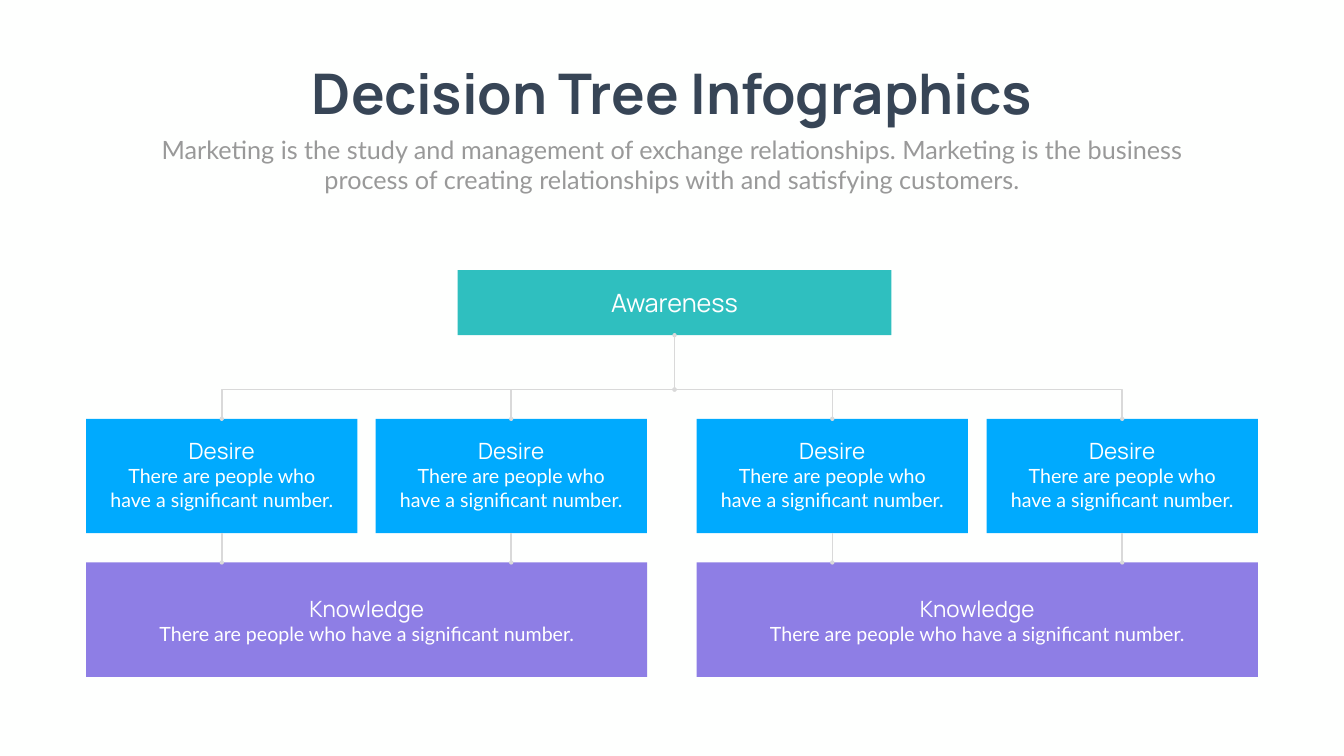
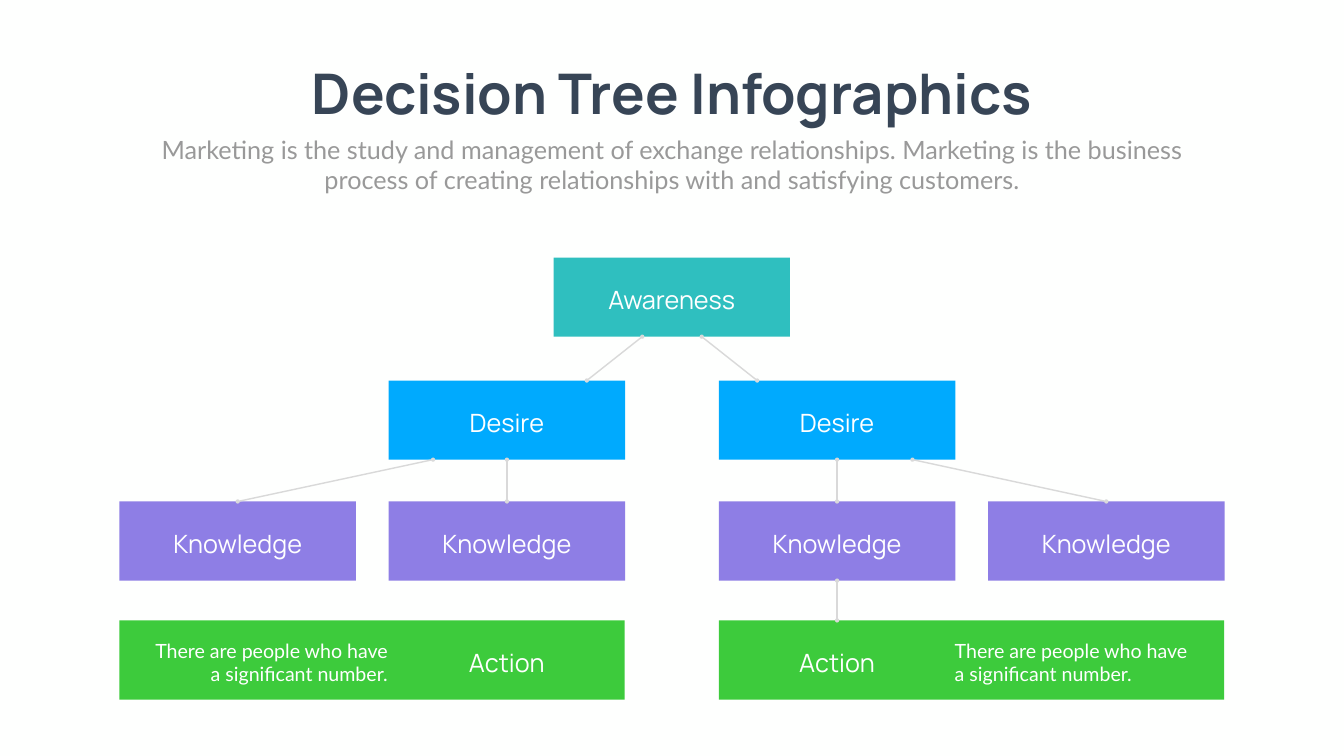
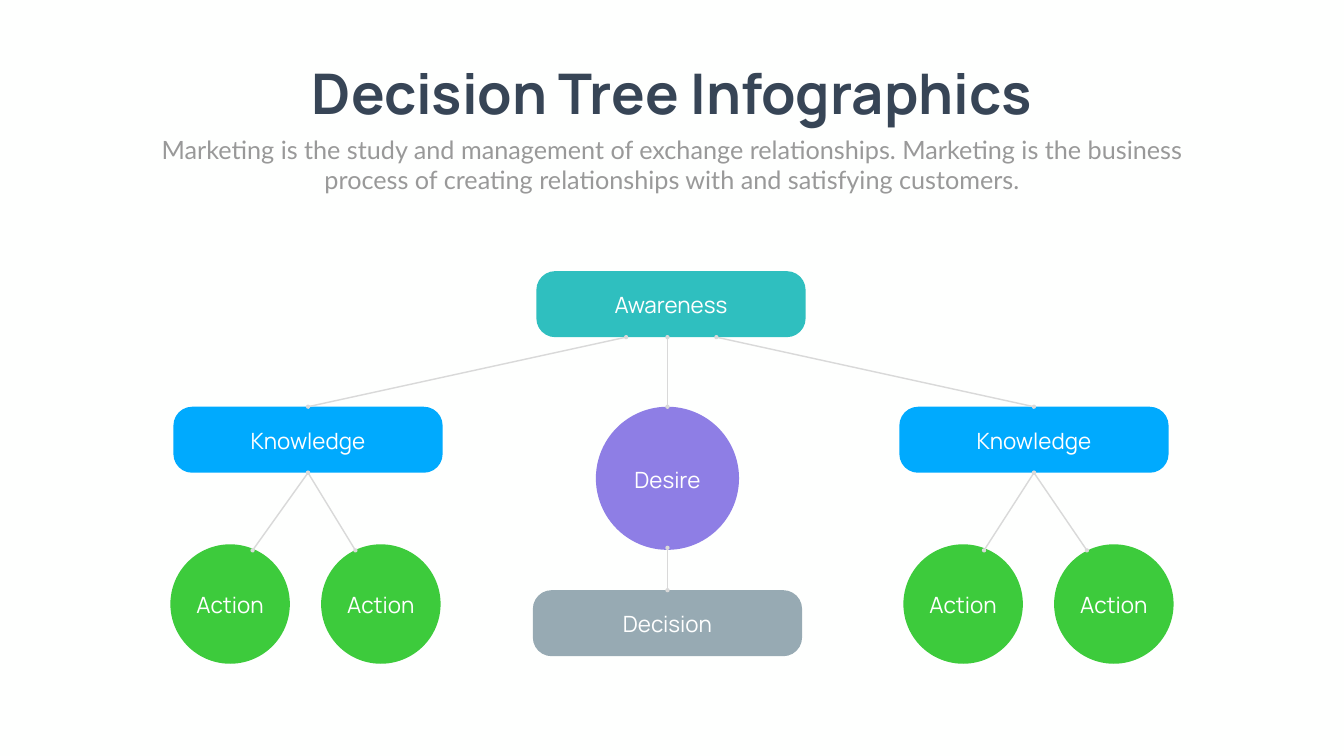
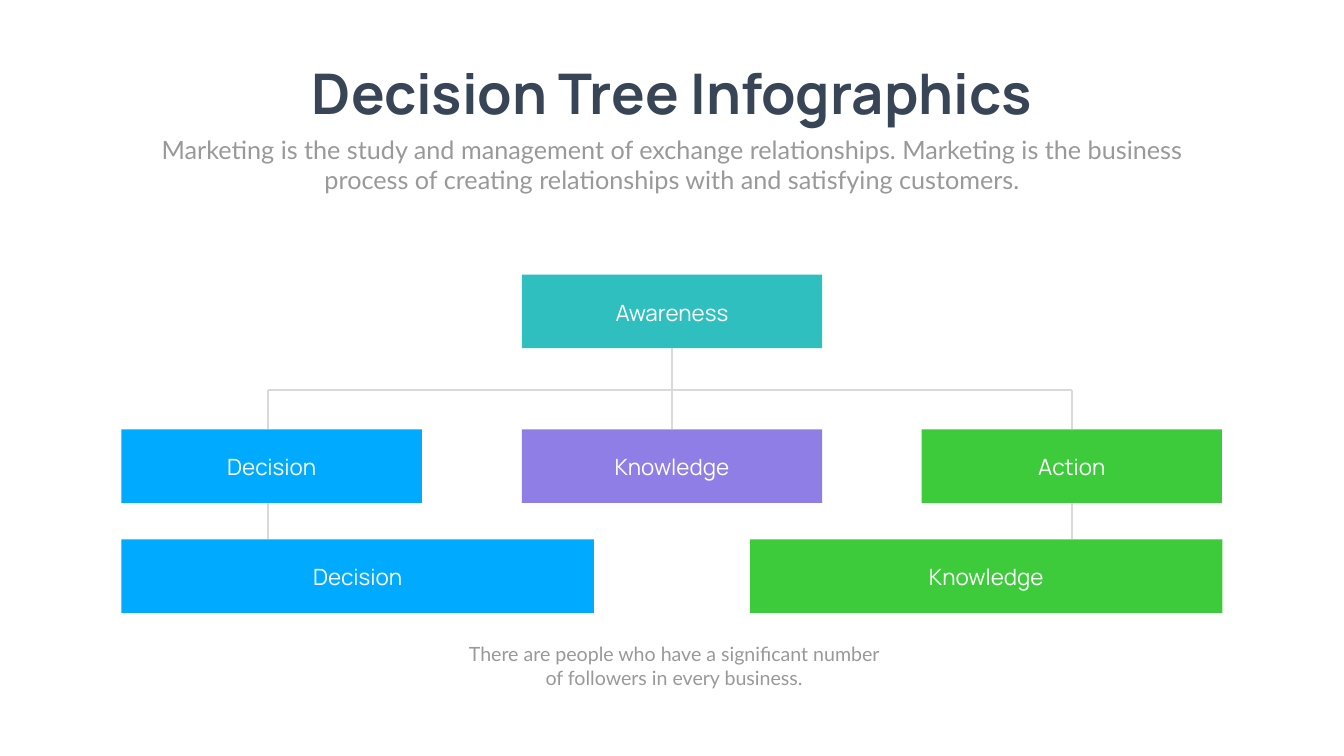
from lxml.etree import SubElement
from pptx import Presentation
from pptx.dml.color import RGBColor
from pptx.enum.shapes import MSO_CONNECTOR, MSO_SHAPE
from pptx.enum.text import MSO_ANCHOR, MSO_AUTO_SIZE, PP_ALIGN
from pptx.oxml.ns import qn
from pptx.util import Inches, Pt

TEAL = RGBColor(0x2F, 0xBF, 0xBF)
BLUE = RGBColor(0x00, 0xAA, 0xFE)
PURPLE = RGBColor(0x8E, 0x7E, 0xE5)
GREEN = RGBColor(0x3D, 0xCB, 0x3C)
SLATE = RGBColor(0x97, 0xAA, 0xB3)
NAVY = RGBColor(0x37, 0x45, 0x56)
GREY = RGBColor(0x99, 0x99, 0x99)
LINE = RGBColor(0xD9, 0xD9, 0xD9)
WHITE = RGBColor(0xFF, 0xFF, 0xFF)
PAPER = RGBColor(0xFE, 0xFF, 0xFE)
HEADING_FONT, BODY_FONT = "Manrope", "Lato"
TOP, BOTTOM = 0, 2  # connection sites

TITLE = "Decision Tree Infographics"
SUBTITLE = ("Marketing is the study and management of exchange relationships. "
            "Marketing is the business process of creating relationships with "
            "and satisfying customers.")
NOTE = "There are people who have a significant number."
FOLLOWERS = ("There are people who have a significant number "
             "of followers in every business.")

# Detailed tree: left edges of the cards in each level
DESIRE_LEFTS = (1.71, 7.45, 13.82, 19.57)
KNOWLEDGE_LEFTS = (1.71, 13.82)

# Branching tree: columns and rows, then (label, colour, left, top)
COLUMNS = (2.37, 7.71, 14.26, 19.6)
ROWS = (5.11, 7.55, 9.95, 12.31)
BRANCHING = [
    ("Awareness", TEAL, 10.98, ROWS[0]),
    *[("Desire", BLUE, left, ROWS[1]) for left in COLUMNS[1:3]],
    *[("Knowledge", PURPLE, left, ROWS[2]) for left in COLUMNS],
]
ACTIONS = [  # bar left, label column, note left, note alignment
    (COLUMNS[0], COLUMNS[1], 2.91, PP_ALIGN.RIGHT),
    (COLUMNS[2], COLUMNS[2], 18.84, PP_ALIGN.LEFT),
]

# Rounded tree: (label, colour, left, top) and (label, colour, left, top, diameter)
PILLS = [
    ("Awareness", TEAL, 10.64, 5.38),
    ("Knowledge", BLUE, 3.44, 8.07),
    ("Knowledge", BLUE, 17.84, 8.07),
    ("Decision", SLATE, 10.57, 11.71),
]
CIRCLES = [
    ("Desire", PURPLE, 11.82, 8.07, 2.84),
    *[("Action", GREEN, left, 10.8, 2.37) for left in (3.38, 6.37, 17.92, 20.91)],
]

# Bracket tree: (label, colour, left, top, width)
BRACKET = [
    ("Awareness", TEAL, 10.35, 5.45, 5.96),
    ("Decision", BLUE, 2.41, 8.52, 5.96),
    ("Knowledge", PURPLE, 10.35, 8.52, 5.96),
    ("Action", GREEN, 18.28, 8.52, 5.96),
    ("Decision", BLUE, 2.41, 10.7, 9.37),
    ("Knowledge", GREEN, 14.88, 10.7, 9.37),
]


def write(frame, text, size, font, colour, align=PP_ALIGN.CENTER, bold=False):
    frame.text = text
    paragraph = frame.paragraphs[0]
    paragraph.alignment = align
    paragraph.space_before = Pt(0)
    run_font = paragraph.runs[0].font
    run_font.name, run_font.size, run_font.bold = font, Pt(size), bold
    run_font.color.rgb = colour


def place(shape, left, top, width, height):
    shape.left, shape.top = Inches(left), Inches(top)
    shape.width, shape.height = Inches(width), Inches(height)


def add_slide(prs):
    slide = prs.slides.add_slide(prs.slide_layouts[0])
    title, subtitle = slide.placeholders
    place(title, 5.58, 1.12, 15.51, 1.45)
    place(subtitle, 2.92, 2.61, 20.82, 1.31)
    for holder in (title, subtitle):
        holder.text_frame.vertical_anchor = MSO_ANCHOR.TOP
        holder.text_frame.auto_size = MSO_AUTO_SIZE.SHAPE_TO_FIT_TEXT
    title.text_frame.word_wrap = False
    write(title.text_frame, TITLE, 80, HEADING_FONT, NAVY, bold=True)
    write(subtitle.text_frame, SUBTITLE, 36, BODY_FONT, GREY)
    return slide


def add_box(slide, colour, left, top, width, height, kind=MSO_SHAPE.RECTANGLE):
    box = slide.shapes.add_shape(
        kind, Inches(left), Inches(top), Inches(width), Inches(height))
    box.shadow.inherit = False
    box.fill.solid()
    box.fill.fore_color.rgb = colour
    box.line.fill.background()
    return box


def add_text(slide, text, size, left, top, width, height, font=HEADING_FONT,
             colour=WHITE, align=PP_ALIGN.CENTER, inset=True):
    frame = slide.shapes.add_textbox(
        Inches(left), Inches(top), Inches(width), Inches(height)).text_frame
    frame.word_wrap = True
    frame.auto_size = MSO_AUTO_SIZE.SHAPE_TO_FIT_TEXT
    if not inset:
        frame.margin_left = frame.margin_right = 0
        frame.margin_top = frame.margin_bottom = 0
    write(frame, text, size, font, colour, align)


def add_label(slide, text, size, left, top, width, height, label_width=3.4):
    """Centre a one-line label on the given area."""
    add_text(slide, text, size, left + (width - label_width) / 2,
             top + height / 2 - 0.3, label_width, 0.6)


def add_node(slide, text, size, colour, left, top, width, height,
             kind=MSO_SHAPE.RECTANGLE, label_width=3.4):
    node = add_box(slide, colour, left, top, width, height, kind)
    add_label(slide, text, size, left, top, width, height, label_width)
    return node


def add_card(slide, heading, colour, left, top, width, height,
             heading_top, heading_width, note_width, note_height):
    card = add_box(slide, colour, left, top, width, height)
    centre = left + width / 2
    add_text(slide, NOTE, 28, centre - note_width / 2, top + heading_top + 0.49,
             note_width, note_height, BODY_FONT)
    add_text(slide, heading, 32, centre - heading_width / 2, top + heading_top,
             heading_width, 0.54, inset=False)
    return card


def site_point(shape, site):
    y = shape.top + (shape.height if site == BOTTOM else 0)
    return (shape.left + shape.width // 2) / Inches(1), y / Inches(1)


def add_line(slide, start, end, dots=("headEnd", "tailEnd"), weight=2, elbow=False):
    """Draw a line; each end is an (x, y) point or a (shape, site) joint."""
    joints = [not isinstance(stop[0], (int, float)) for stop in (start, end)]
    points = [site_point(*stop) if joint else stop
              for stop, joint in zip((start, end), joints)]
    connector = slide.shapes.add_connector(
        MSO_CONNECTOR.ELBOW if elbow else MSO_CONNECTOR.STRAIGHT,
        *[Inches(value) for point in points for value in point])
    if joints[0]:
        connector.begin_connect(*start)
    if joints[1]:
        connector.end_connect(*end)
    connector.line.color.rgb = LINE
    connector.line.width = Pt(weight)
    properties = connector._element.spPr
    for dot in dots:
        SubElement(properties.find(qn("a:ln")), qn(f"a:{dot}"), type="oval")
    SubElement(properties, qn("a:effectLst"))
    if elbow:
        properties.find(qn("a:prstGeom")).set("prst", "bentConnector2")


def build_detailed_tree(prs):
    slide = add_slide(prs)
    bar_y, knowledge_top = 7.73, 11.16
    awareness = add_box(slide, TEAL, 9.08, 5.36, 8.6, 1.29)
    awareness.text_frame.vertical_anchor = MSO_ANCHOR.MIDDLE
    write(awareness.text_frame, "Awareness", 36, HEADING_FONT, WHITE)
    desires = [add_card(slide, "Desire", BLUE, left, 8.31, 5.38, 2.27,
                        0.36, 2.94, 4.66, 1.04) for left in DESIRE_LEFTS]
    for left in KNOWLEDGE_LEFTS:
        add_card(slide, "Knowledge", PURPLE, left, knowledge_top, 11.13, 2.27,
                 0.64, 4.87, 8.53, 0.57)

    hub = (site_point(awareness, BOTTOM)[0], bar_y)
    add_line(slide, (awareness, BOTTOM), hub, ["headEnd"])
    for desire in (desires[0], desires[-1]):
        add_line(slide, hub, site_point(desire, TOP), elbow=True)
    for desire in desires[1:-1]:
        add_line(slide, (desire, TOP), (site_point(desire, TOP)[0], bar_y), ["headEnd"])
    for desire in desires:
        foot = (site_point(desire, BOTTOM)[0], knowledge_top)
        add_line(slide, foot, (desire, BOTTOM), ["headEnd"])


def build_branching_tree(prs):
    slide = add_slide(prs)
    width, height = 4.69, 1.57
    nodes = [add_node(slide, text, 36, colour, left, top, width, height)
             for text, colour, left, top in BRANCHING]
    _, *desires = nodes[:3]
    knowledge = nodes[3:]
    for left, label_left, note_left, align in ACTIONS:
        add_box(slide, GREEN, left, ROWS[3], 10.02, height)
        add_label(slide, "Action", 36, label_left, ROWS[3], width, height)
        add_text(slide, NOTE, 28, note_left, ROWS[3] + 0.31, 4.88, 1.04,
                 BODY_FONT, align=align)

    for start_x, end_x in ((12.74, 11.64), (13.92, 15.02)):
        add_line(slide, (start_x, ROWS[0] + height), (end_x, ROWS[1]))
    for desire, below in zip(desires, knowledge[1:3]):
        add_line(slide, (desire, BOTTOM), (below, TOP))
    for start_x, outer in ((8.59, knowledge[0]), (18.1, knowledge[3])):
        add_line(slide, (start_x, ROWS[1] + height), (outer, TOP))
    action_x = site_point(knowledge[2], BOTTOM)[0]
    add_line(slide, (knowledge[2], BOTTOM), (action_x, ROWS[3]))


def build_rounded_tree(prs):
    slide = add_slide(prs)
    pills = [add_node(slide, text, 32, colour, left, top, 5.34, 1.31,
                      MSO_SHAPE.ROUNDED_RECTANGLE)
             for text, colour, left, top in PILLS]
    for pill in pills:
        pill.adjustments[0] = 0.284
    _, left_knowledge, right_knowledge, decision = pills
    desire, *_ = [add_node(slide, text, 32, colour, left, top, size, size,
                           MSO_SHAPE.OVAL, size + 0.5)
                  for text, colour, left, top, size in CIRCLES]

    for start_x, below in ((12.42, left_knowledge), (13.24, desire),
                           (14.21, right_knowledge)):
        add_line(slide, (start_x, 6.69), (below, TOP))
    for parent, ends in ((left_knowledge, (5.01, 7.05)),
                         (right_knowledge, (19.52, 21.56))):
        for end_x in ends:
            add_line(slide, (parent, BOTTOM), (end_x, 10.92))
    add_line(slide, (13.24, 10.87), (decision, TOP))


def build_bracket_tree(prs):
    slide = add_slide(prs)
    awareness, _, knowledge, action, *_ = [
        add_node(slide, text, 32, colour, left, top, width, 1.46,
                 label_width=width * 0.95)
        for text, colour, left, top, width in BRACKET]
    add_text(slide, FOLLOWERS, 28, 9.07, 12.69, 8.6, 1.04, BODY_FONT, GREY)

    bar_y, low_top, left_x = 7.74, 10.7, 5.32
    centre_x, right_x = (site_point(box, TOP)[0] for box in (knowledge, action))
    for start, end in (
        ((left_x, bar_y), (right_x, bar_y)),
        ((awareness, BOTTOM), (centre_x, bar_y)),
        ((left_x, bar_y), (left_x, 8.52)),
        ((centre_x, bar_y), (knowledge, TOP)),
        ((right_x, bar_y), (action, TOP)),
        ((left_x, 9.98), (left_x, low_top)),
        ((action, BOTTOM), (right_x, low_top)),
    ):
        add_line(slide, start, end, dots=(), weight=3)


def main():
    prs = Presentation()
    prs.slide_width, prs.slide_height = Inches(26.66), Inches(15)
    background = prs.slide_master.background.fill
    background.solid()
    background.fore_color.rgb = PAPER
    for build in (build_detailed_tree, build_branching_tree,
                  build_rounded_tree, build_bracket_tree):
        build(prs)
    prs.save("out.pptx")


if __name__ == "__main__":
    main()
